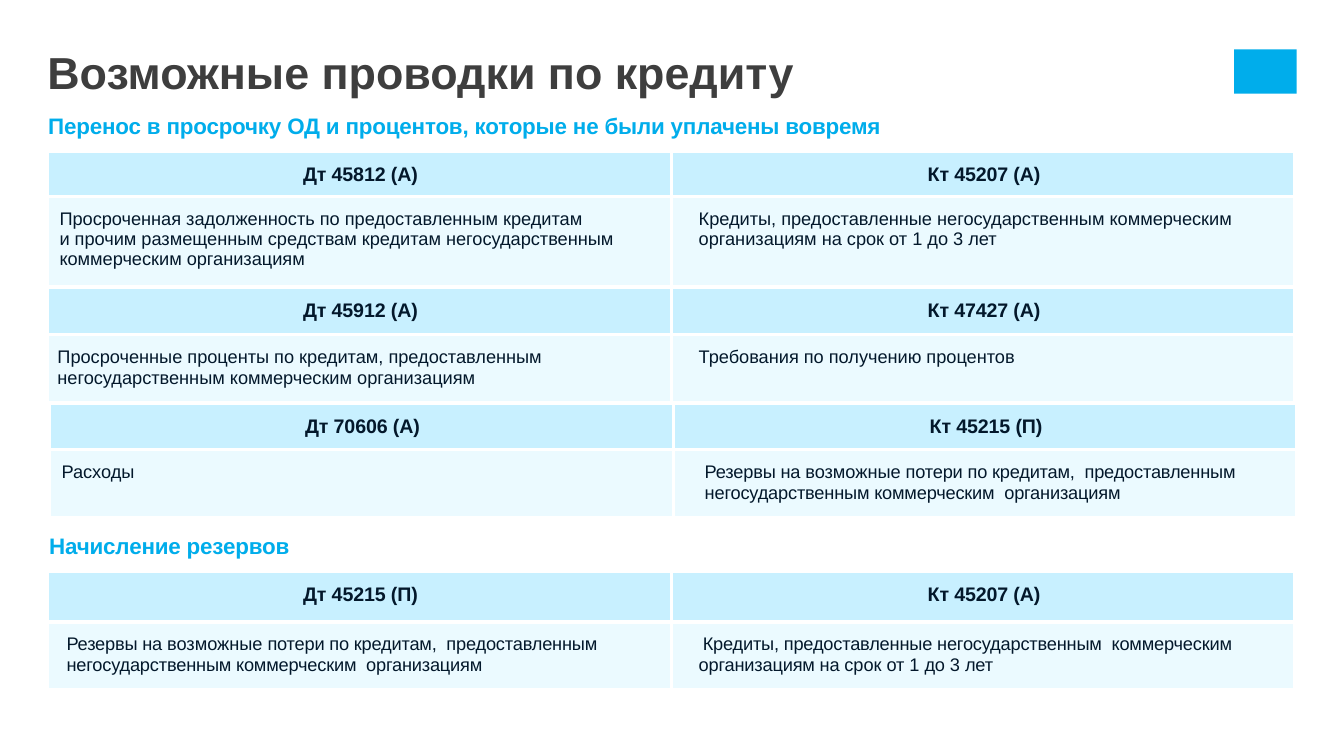
from lxml.etree import SubElement
from pptx import Presentation
from pptx.dml.color import RGBColor
from pptx.enum.shapes import MSO_SHAPE
from pptx.enum.text import PP_ALIGN
from pptx.oxml.ns import qn
from pptx.util import Inches, Pt

TIGHT, NORMAL = -10, 0
CYAN, GRAPHITE, NAVY = "00ADEB", "3E3E3E", "03182B"
HEADER_FILL, BODY_FILL, BORDER = "C8F0FF", "EBFAFF", "FFFFFF"


def color(value):
    return RGBColor.from_string(value)


class PostingSlide:
    font = "Arial"

    def __init__(self, presentation):
        self.slide = presentation.slides.add_slide(presentation.slide_layouts[6])

    def add_runs(self, paragraph, runs, size, ink, bold=False):
        for text, spacing in runs:
            for number, line in enumerate(text.split("\n")):
                if number:
                    paragraph.add_line_break()
                run = paragraph.add_run()
                run.text = line
                run.font.name = self.font
                run.font.size = Pt(size)
                run.font.bold = bold
                run.font.color.rgb = color(ink)
                if spacing:
                    run._r.get_or_add_rPr().set("spc", str(spacing))

    def heading(self, text, left, top, width, height, size, ink, spacing, insets):
        frame = self.slide.shapes.add_textbox(
            Inches(left), Inches(top), Inches(width), Inches(height)).text_frame
        frame.word_wrap = True
        frame.margin_left = frame.margin_right = Inches(insets[0])
        frame.margin_top, frame.margin_bottom = Inches(insets[1]), 0
        self.add_runs(frame.paragraphs[0], [(text, spacing)], size, ink, True)

    def emblem(self, left, top, width, height):
        mark = self.slide.shapes.add_shape(
            MSO_SHAPE.RECTANGLE, Inches(left), Inches(top), Inches(width), Inches(height))
        mark.shadow.inherit = False
        mark.fill.solid()
        mark.fill.fore_color.rgb = color(CYAN)
        mark.line.fill.background()

    def borders(self, cell):
        properties = cell._tc.get_or_add_tcPr()
        for position, side in enumerate(("lnL", "lnR", "lnT", "lnB")):
            line = SubElement(properties, qn(f"a:{side}"), w=str(Pt(3)))
            fill = SubElement(line, qn("a:solidFill"))
            SubElement(fill, qn("a:srgbClr"), val=BORDER)
            properties.insert(position, line)

    def cell(self, cell, fill, runs, size, bold=False, indent=0.02, first=0, spacing=1.0):
        cell.fill.solid()
        cell.fill.fore_color.rgb = color(fill)
        self.borders(cell)
        cell.margin_left = cell.margin_bottom = 0
        cell.margin_right = 0 if bold else Inches(0.12)
        cell.margin_top = Inches(0.12)
        paragraph = cell.text_frame.paragraphs[0]
        paragraph.alignment = PP_ALIGN.CENTER if bold else PP_ALIGN.LEFT
        paragraph.line_spacing = spacing
        properties = paragraph._p.get_or_add_pPr()
        properties.set("marL", str(Inches(indent)))
        properties.set("indent", str(Inches(first)))
        self.add_runs(paragraph, runs, size, NAVY, bold)

    def postings(self, left, top, heights, entries):
        table = self.slide.shapes.add_table(
            len(heights), 2, Inches(left), Inches(top),
            Inches(12.37), Inches(sum(heights))).table
        table.first_row = table.horz_banding = False
        for column, width in zip(table.columns, (6.19, 6.18)):
            column.width = Inches(width)
        for row, height in zip(table.rows, heights):
            row.height = Inches(height)
        for pair, sides in enumerate(entries):
            for side, (account, runs, layout) in enumerate(sides):
                self.cell(table.cell(2 * pair, side), HEADER_FILL, [(account, TIGHT)], 14, True)
                self.cell(table.cell(2 * pair + 1, side), BODY_FILL, runs, 13, **layout)


RESERVES = [
    ("Резервы на ", TIGHT), ("возможные ", NORMAL),
    ("потери по кредитам,  предоставленным негосударственным коммерческим  организациям", TIGHT)]

OVERDUE = [
    [("Дт 45812 (А)",
      [("Просроченная задолженность по предоставленным кредитам\nи прочим размещенным средствам "
        "кредитам негосударственным коммерческим организациям", NORMAL)], {"indent": 0.12}),
     ("Кт 45207 (А)",
      [("Кредиты, предоставленные негосударственным коммерческим организациям "
        "на срок от 1 до 3 лет", NORMAL)], {"indent": 0.27})],
    [("Дт 45912 (А)",
      [("Просроченные проценты по кредитам, предоставленным негосударственным "
        "коммерческим организациям", NORMAL)], {"indent": 0.1, "spacing": 1.02}),
     ("Кт 47427 (А)", [("Требования по получению процентов", NORMAL)], {"indent": 0.27})]]

EXPENSES = [
    [("Дт 70606 (А)", [("Расходы", NORMAL)], {"indent": 0.12}),
     ("Кт 45215 (П)", RESERVES, {"indent": 0.31, "spacing": 1.02})]]

ACCRUAL = [
    [("Дт 45215 (П)", RESERVES, {"indent": 0.19, "spacing": 1.02}),
     ("Кт 45207 (А)",
      [("Кредиты, предоставленные негосударственным  коммерческим организациям на ", TIGHT),
       ("срок ", NORMAL), ("от ", TIGHT), ("1 ", NORMAL), ("до ", TIGHT), ("3 ", NORMAL),
       ("лет", TIGHT)], {"indent": 0.27, "first": 0.04, "spacing": 1.02})]]


def main():
    presentation = Presentation()
    presentation.slide_width, presentation.slide_height = Inches(13.33), Inches(7.5)
    page = PostingSlide(presentation)
    page.emblem(12.24, 0.49, 0.62, 0.44)
    page.heading("Возможные проводки по кредиту", 0.47, 0.37, 8.83, 0.6, 32, GRAPHITE,
                 NORMAL, (0, 0.07))
    page.postings(0.47, 1.5, (0.45, 0.9, 0.47, 0.68), OVERDUE)
    page.postings(0.49, 4, (0.46, 0.68), EXPENSES)
    page.postings(0.47, 5.67, (0.5, 0.67), ACCRUAL)
    for text, left, top, width in (
            ("Перенос в просрочку ОД и процентов, которые не были уплачены вовремя",
             0.38, 1.06, 11.85),
            ("Начисление резервов", 0.39, 5.23, 8.83)):
        page.heading(text, left, top, width, 0.37, 16, CYAN, TIGHT, (0.1, 0.05))
    presentation.save("out.pptx")


if __name__ == "__main__":
    main()
